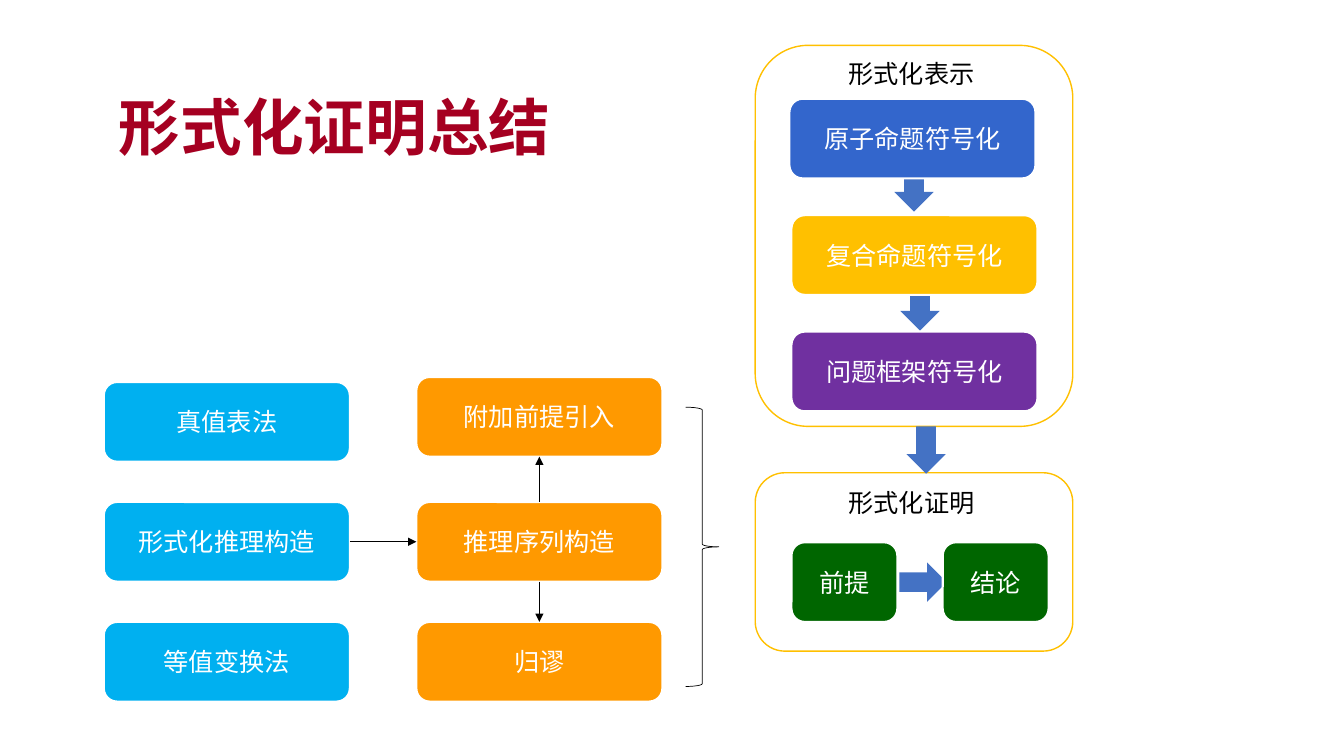
from lxml.etree import SubElement
from pptx import Presentation
from pptx.dml.color import RGBColor
from pptx.enum.shapes import MSO_CONNECTOR as Connector, MSO_SHAPE as Shape
from pptx.enum.text import MSO_ANCHOR as Anchor, MSO_AUTO_SIZE as AutoSize, PP_ALIGN as Align
from pptx.oxml.ns import qn
from pptx.util import Inches, Pt

FONT = "Noto Sans CJK SC"
WHITE, BLACK, GOLD, ARROW_BLUE = "FFFFFF", "000000", "FFC000", "4472C4"
CRIMSON, GREEN, SKY, ORANGE = "A50021", "006600", "00B0F0", "FF9900"
STEP_WIDTH, STEP_HEIGHT = 2.44, 0.79
ARROW_LENGTH, ARROW_BREADTH = 0.47, 0.39


def color(hex_text):
    return RGBColor.from_string(hex_text)


def write(frame, text, size, hex_text, align=Align.CENTER, bold=False):
    frame.word_wrap = True
    para = frame.paragraphs[0]
    para.alignment = align
    run = para.add_run()
    run.text = text
    run.font.name, run.font.size, run.font.bold = FONT, Pt(size), bold
    run.font.color.rgb = color(hex_text)
    SubElement(run.font._element, qn("a:ea")).set("typeface", FONT)
    return para


def add_figure(page, kind, box, fill=None, line=None, weight=1.0, rotation=0):
    figure = page.shapes.add_shape(kind, *map(Inches, box))
    figure.shadow.inherit = False
    figure.rotation = rotation
    if fill:
        figure.fill.solid()
        figure.fill.fore_color.rgb = color(fill)
    else:
        figure.fill.background()
    if line:
        figure.line.color.rgb = color(line)
        figure.line.width = Pt(weight)
    else:
        figure.line.fill.background()
    return figure


def add_step(page, left, top, text, fill, width=STEP_WIDTH):
    box = (left, top, width, STEP_HEIGHT)
    step = add_figure(page, Shape.ROUNDED_RECTANGLE, box, fill, WHITE, 1.5)
    step.text_frame.vertical_anchor = Anchor.MIDDLE
    write(step.text_frame, text, 18, WHITE)


def add_block_arrow(page, left, top, rotation=0):
    box = (left, top, ARROW_LENGTH, ARROW_BREADTH)
    add_figure(page, Shape.RIGHT_ARROW, box, ARROW_BLUE, rotation=rotation)


def add_thin_arrow(page, start, end):
    ends = map(Inches, (*start, *end))
    arrow = page.shapes.add_connector(Connector.STRAIGHT, *ends)
    arrow.line.color.rgb = color(BLACK)
    arrow.line.width = Pt(0.5)
    SubElement(arrow.line._get_or_add_ln(), qn("a:tailEnd")).set("type", "triangle")
    SubElement(arrow._element.spPr, qn("a:effectLst"))


def add_panel(page, box, heading, heading_drop):
    """Draw a gold outline with its heading."""
    left, top, width, height = box
    add_figure(page, Shape.ROUNDED_RECTANGLE, box, line=GOLD)
    label_box = (left, top + heading_drop, width - 0.05, 0.4)
    label = page.shapes.add_textbox(*map(Inches, label_box))
    write(label.text_frame, heading, 18, BLACK)


def add_title(page, box):
    title = page.shapes.title
    title.left, title.top, title.width, title.height = map(Inches, box)
    frame = title.text_frame
    frame.auto_size = AutoSize.NONE
    frame.vertical_anchor = Anchor.MIDDLE
    write(frame, "形式化证明总结", 44, CRIMSON, Align.LEFT, True).line_spacing = 0.9


def add_representation(page, box):
    left, top = box[:2]
    for across, down in ((1.34, 1.22), (1.4, 2.4)):
        add_block_arrow(page, left + across, top + down, 90)
    steps = (("原子命题符号化", "3366CC", 0.34),
             ("复合命题符号化", GOLD, 0.36),
             ("问题框架符号化", "7030A0", 0.36))
    for row, (text, fill, indent) in enumerate(steps):
        add_step(page, left + indent, top + 0.53 + row * 1.155, text, fill)
    add_panel(page, box, "形式化表示", 0.08)


def add_proof(page, box):
    left, top = box[:2]
    add_block_arrow(page, left + 1.43, top + 0.89)
    add_panel(page, box, "形式化证明", 0.1)
    for column, text in enumerate(("前提", "结论")):
        add_step(page, left + 0.36 + column * 1.5, top + 0.69, text, GREEN, 1.05)
    add_block_arrow(page, left + 1.46, top - 0.42, 90)


def add_methods(page, box):
    """Place the method and technique columns, their links and the brace."""
    left, top, width, height = box
    pitch = (height - STEP_HEIGHT) / 2
    technique_left = left + 3.1
    technique_tops = (top - 0.05, top + pitch, top + 2 * pitch)
    for row, text in enumerate(("真值表法", "形式化推理构造", "等值变换法")):
        add_step(page, left, top + row * pitch, text, SKY)
    for step_top, text in zip(technique_tops, ("附加前提引入", "推理序列构造", "归谬")):
        add_step(page, technique_left, step_top, text, ORANGE)

    brace_box = (left + width - 0.33, top + 0.25, 0.33, 2.77)
    add_figure(page, Shape.LEFT_BRACE, brace_box, line=BLACK, weight=0.5, rotation=180)

    upper, middle, lower = technique_tops
    center_x = technique_left + STEP_WIDTH / 2
    center_y = middle + STEP_HEIGHT / 2
    add_thin_arrow(page, (left + STEP_WIDTH, center_y), (technique_left, center_y))
    add_thin_arrow(page, (center_x, middle + STEP_HEIGHT), (center_x, lower))
    add_thin_arrow(page, (center_x, middle), (center_x, upper + STEP_HEIGHT))


def main():
    deck = Presentation()
    deck.slide_width, deck.slide_height = Inches(13.33), Inches(7.5)
    page = deck.slides.add_slide(deck.slide_layouts[5])
    add_title(page, (1.08, 0.57, 11.5, 1.45))
    add_representation(page, (7.49, 0.45, 3.15, 3.78))
    add_proof(page, (7.49, 4.69, 3.15, 1.77))
    add_methods(page, (1.03, 3.79, 6.1, 3.17))
    deck.save("out.pptx")


if __name__ == "__main__":
    main()
